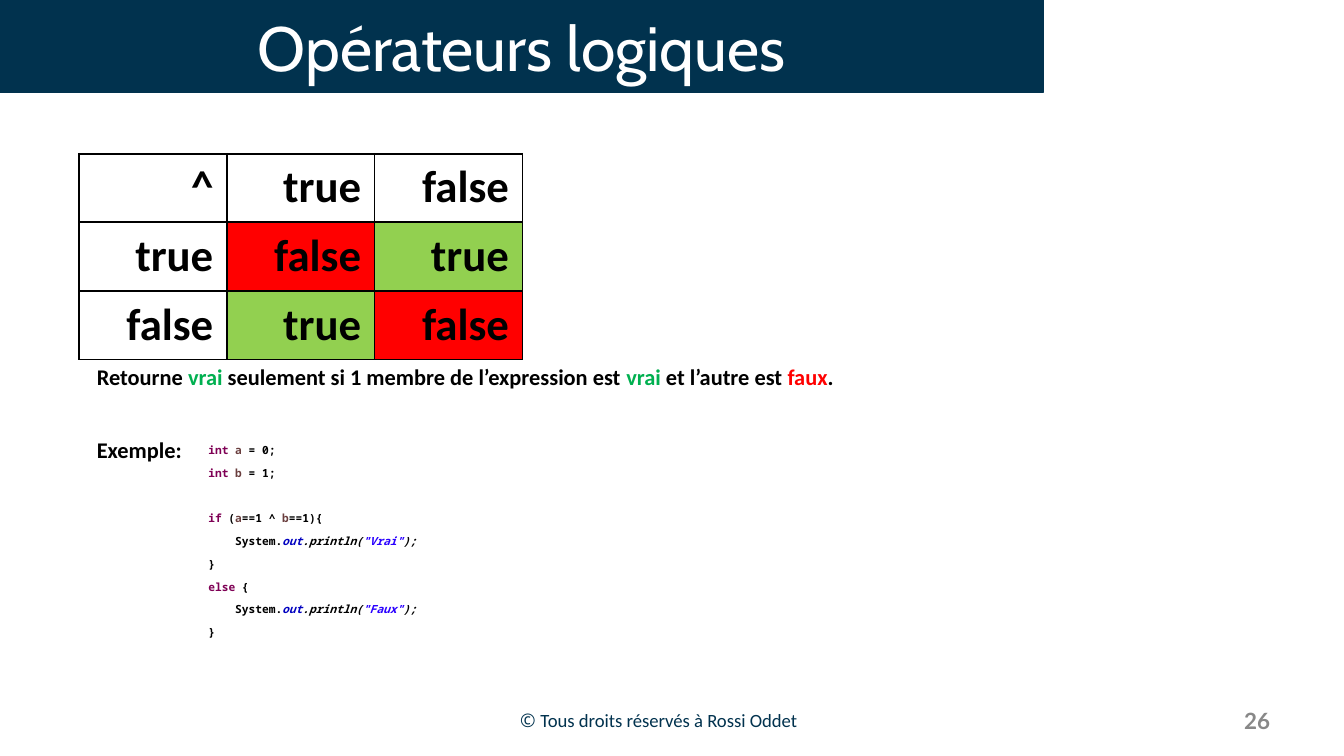
import pptx
import pptx.dml.color
import pptx.enum.shapes
import pptx.enum.text
import pptx.oxml
import pptx.oxml.ns
import pptx.util

RGB = pptx.dml.color.RGBColor
ALIGN = pptx.enum.text.PP_ALIGN
ANCHOR = pptx.enum.text.MSO_ANCHOR
Pt = pptx.util.Pt

NAVY = RGB(0x01, 0x32, 0x4E)
WHITE = RGB(0xFF, 0xFF, 0xFF)
BLACK = RGB(0x00, 0x00, 0x00)
GREY = RGB(0x88, 0x88, 0x88)
RED = RGB(0xFF, 0x00, 0x00)
LIME = RGB(0x92, 0xD0, 0x50)
GREEN = RGB(0x00, 0xB0, 0x50)
KEYWORD = RGB(0x7F, 0x00, 0x55)
VARIABLE = RGB(0x6A, 0x3E, 0x3E)
FIELD = RGB(0x00, 0x00, 0xC0)
LITERAL = RGB(0x2A, 0x00, 0xFF)

WIDTH = pptx.util.Inches(10)
HEIGHT = WIDTH * 9 // 16
COLUMN = WIDTH / 100
ROW = HEIGHT / 100


def grid(left, top, width, height):
    return (round(left * COLUMN), round(top * ROW),
            round(width * COLUMN), round(height * ROW))


def write(paragraph, text, font="Calibri", size=12, color=BLACK,
          bold=False, italic=False):
    run = paragraph.add_run()
    run.text = text
    run.font.name = font
    run.font.size = Pt(size)
    run.font.color.rgb = color
    run.font.bold = bold
    run.font.italic = italic


def space(paragraph, before=5, align=ALIGN.LEFT, indent=0):
    paragraph.space_before = Pt(before)
    paragraph.alignment = align
    if indent:
        properties = paragraph._p.get_or_add_pPr()
        properties.set("marL", str(round(indent * COLUMN)))
        properties.set("indent", "0")


def set_frame(frame, wrap=True, anchor=ANCHOR.TOP):
    frame.word_wrap = wrap
    frame.vertical_anchor = anchor
    frame.margin_left = frame.margin_right = pptx.util.Inches(0.05)
    frame.margin_top = frame.margin_bottom = pptx.util.Inches(0.05)


def add_text(slide, place, lines, wrap=True, anchor=ANCHOR.TOP, **base):
    frame = slide.shapes.add_textbox(*grid(*place)).text_frame
    set_frame(frame, wrap, anchor)
    for number, (spacing, parts) in enumerate(lines):
        paragraph = frame.add_paragraph() if number else frame.paragraphs[0]
        space(paragraph, **spacing)
        for text, style in parts:
            write(paragraph, text, **{**base, **style})


def add_title(slide, text):
    banner = slide.shapes.add_shape(
        pptx.enum.shapes.MSO_SHAPE.RECTANGLE, *grid(0, 0, 77.6, 12.27))
    banner.shadow.inherit = False
    banner.fill.solid()
    banner.fill.fore_color.rgb = NAVY
    banner.line.color.rgb = NAVY
    banner.line.width = Pt(0.75)
    set_frame(banner.text_frame, anchor=ANCHOR.MIDDLE)
    heading = banner.text_frame.paragraphs[0]
    space(heading, before=0, align=ALIGN.CENTER)
    write(heading, text, font="Cabin", size=33.5, color=WHITE)


def add_borders(cell):
    properties = cell._tc.get_or_add_tcPr()
    for position, side in enumerate(("lnL", "lnR", "lnT", "lnB")):
        properties.insert(position, pptx.oxml.parse_xml(
            f'<a:{side} {pptx.oxml.ns.nsdecls("a")} w="12700"><a:solidFill>'
            f'<a:srgbClr val="{BLACK}"/></a:solidFill></a:{side}>'))


def add_truth_table(slide, rows):
    table = slide.shapes.add_table(
        len(rows), len(rows[0]), *grid(5.87, 20.33, 33, 21.7)).table
    table.first_row = table.horz_banding = False
    for r, values in enumerate(rows):
        for c, value in enumerate(values):
            cell = table.cell(r, c)
            cell.margin_bottom = pptx.util.Inches(0.06)
            if r and c:
                cell.fill.solid()
                cell.fill.fore_color.rgb = LIME if value == "true" else RED
            else:
                cell.fill.background()
            add_borders(cell)
            paragraph = cell.text_frame.paragraphs[0]
            space(paragraph, align=ALIGN.RIGHT)
            write(paragraph, value, size=24, bold=True)


def declaration(name, value):
    return {}, [("int ", {"color": KEYWORD}), (name, {"color": VARIABLE}),
                (f" = {value};", {})]


def print_line(word):
    return {"indent": 2}, [
        ("System.", {}),
        ("out", {"color": FIELD, "italic": True}),
        (".println(", {"italic": True}),
        (f'"{word}"', {"color": LITERAL, "italic": True}),
        (");", {"italic": True})]


def main():
    deck = pptx.Presentation()
    deck.slide_width, deck.slide_height = WIDTH, HEIGHT
    slide = deck.slides.add_slide(deck.slide_layouts[6])

    add_text(slide, (37.9, 92.87, 21.9, 4.98),
             [({"align": ALIGN.RIGHT},
               [("© ", {"font": "Open Sans"}),
                ("Tous droits réservés à Rossi Oddet", {})])],
             wrap=False, size=10, color=NAVY)
    add_title(slide, "Opérateurs logiques")
    add_text(slide, (92, 92.5, 3, 5.69),
             [({"before": 2, "align": ALIGN.RIGHT}, [("26", {})])],
             wrap=False, anchor=ANCHOR.MIDDLE,
             font="Lato", color=GREY, bold=True)
    add_truth_table(slide, [("^", "true", "false"),
                            ("true", "false", "true"),
                            ("false", "true", "false")])

    true_word, false_word = {"color": GREEN}, {"color": RED}
    add_text(slide, (6.7, 47.2, 68.9, 21.16), [
        ({}, [("Retourne ", {}), ("vrai", true_word),
              (" seulement si 1 membre de l’expression est ", {}),
              ("vrai ", true_word), ("et l’autre est ", {}),
              ("faux", false_word), (".", {})]),
        ({"before": 24.6}, [("Exemple:", {})]),
    ], bold=True)

    keyword, variable = {"color": KEYWORD}, {"color": VARIABLE}
    closing = ({}, [("}", {})])
    add_text(slide, (15, 57.78, 36.5, 29.16), [
        declaration("a", 0),
        declaration("b", 1),
        ({"before": 17.2}, [("if", keyword), (" (", {}), ("a", variable),
                            ("==1 ^ ", {}), ("b", variable), ("==1){", {})]),
        print_line("Vrai"),
        closing,
        ({}, [("else", keyword), (" {", {})]),
        print_line("Faux"),
        closing,
    ], font="Noto Sans Mono", size=6, bold=True)

    deck.save("out.pptx")


main()
